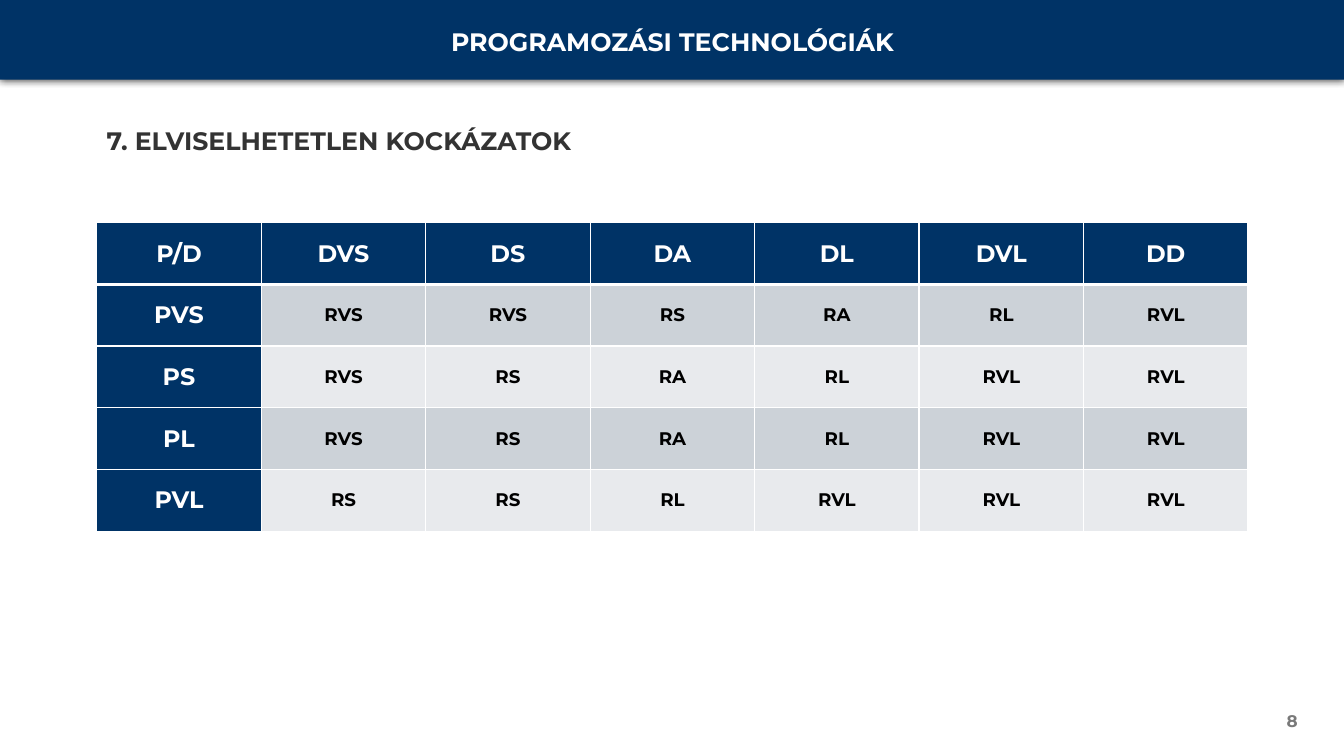
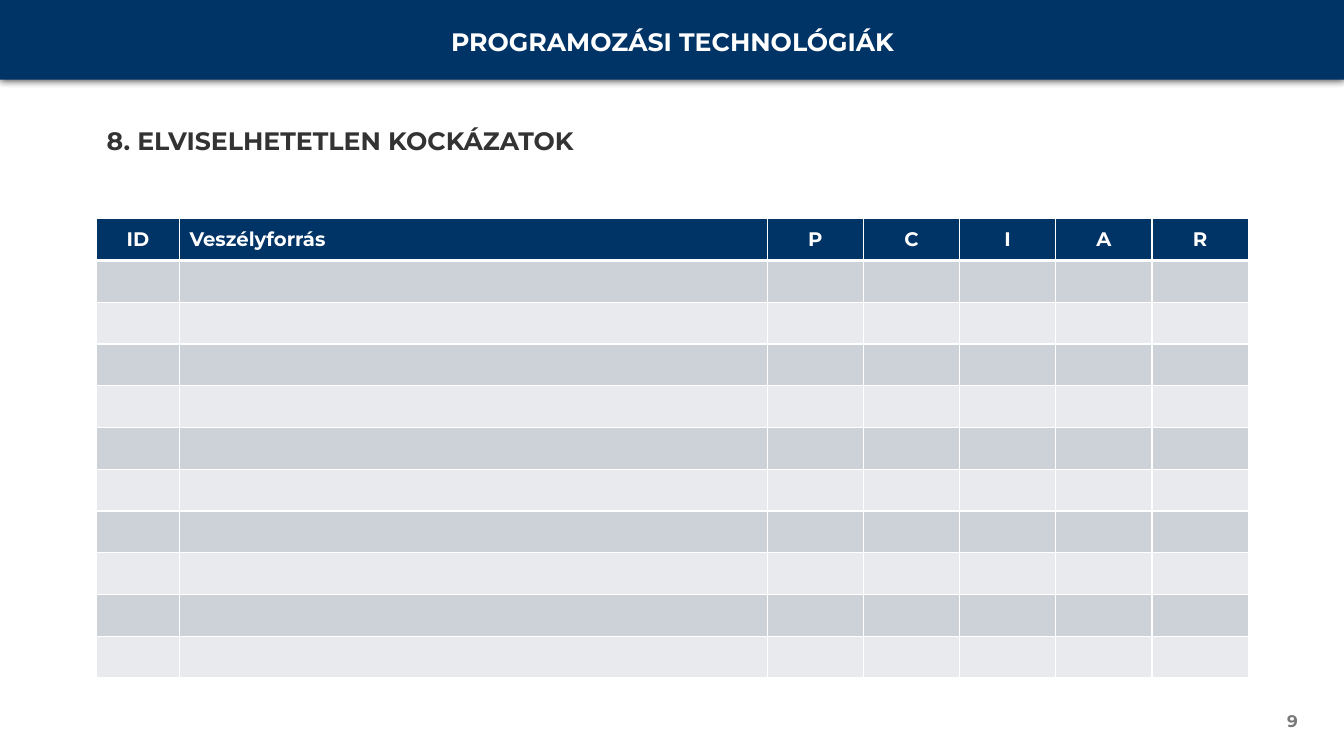
"""Builds two risk assessment slides with a shared band, heading and page number."""
from dataclasses import dataclass

from pptx import Presentation
from pptx.dml.color import RGBColor
from pptx.enum import shapes, text
from pptx.oxml import ns, xmlchemy
from pptx.util import Inches, Pt

NAVY, WHITE, BLACK = "003366", "FFFFFF", "000000"
DARK, GREY = "333333", "797979"
BANDS = ("CCD2D8", "E8EAED")
FACE = "Montserrat"
LEFT, WIDTH = 0.96, 11.42
ALIGN = text.PP_ALIGN


@dataclass
class Grid:
    top: float
    height: float
    cols: list[float]
    rows: list[list[str]]
    head: float
    body: float
    side: bool = False
    lefts: tuple[int, ...] = ()


@dataclass
class Page:
    title: str
    number: int
    grid: Grid


@dataclass
class Label:
    words: str
    left: float
    top: float
    width: float
    size: float
    color: str
    align: ALIGN = ALIGN.LEFT
    middle: bool = False


def paint(fill, color: str) -> None:
    fill.solid()
    fill.fore_color.rgb = RGBColor.from_string(color)


def style(para, size: float, color: str, align: ALIGN) -> None:
    para.alignment = align
    font = para.font
    font.name, font.size, font.bold = FACE, Pt(size), True
    font.color.rgb = RGBColor.from_string(color)


def node(parent, tag: str, **attrs):
    child = xmlchemy.OxmlElement(tag)
    for key, value in attrs.items():
        child.set(key, str(value))
    parent.append(child)
    return child


def add_band(slide) -> None:
    band = slide.shapes.add_shape(
        shapes.MSO_SHAPE.RECTANGLE, 0, 0, Inches(13.33), Inches(0.79))
    paint(band.fill, NAVY)
    band.line.fill.background()
    band.shadow.inherit = False
    effects = band._element.spPr.find(ns.qn("a:effectLst"))
    shade = node(effects, "a:outerShdw", blurRad=Pt(6), dist=0,
                 dir=90 * 60000, rotWithShape=0)
    color = node(shade, "a:srgbClr", val=BLACK)
    node(color, "a:alpha", val=80000)


def add_label(slide, label: Label) -> None:
    box = slide.shapes.add_textbox(
        Inches(label.left), Inches(label.top), Inches(label.width), Inches(0.4))
    frame = box.text_frame
    frame.word_wrap = True
    if label.middle:
        frame.vertical_anchor = text.MSO_ANCHOR.MIDDLE
    else:
        frame.auto_size = text.MSO_AUTO_SIZE.SHAPE_TO_FIT_TEXT
    frame.text = label.words
    style(frame.paragraphs[0], label.size, label.color, label.align)


def add_rules(cell, row: int) -> None:
    sides = {"L": 1, "R": 1, "T": 3 if row == 1 else 1, "B": 3 if row == 0 else 1}
    props = cell._tc.get_or_add_tcPr()
    for side, width in sides.items():
        line = node(props, f"a:ln{side}", w=Pt(width))
        node(node(line, "a:solidFill"), "a:srgbClr", val=WHITE)


def add_grid(slide, grid: Grid) -> None:
    count = len(grid.rows)
    table = slide.shapes.add_table(
        count, len(grid.cols), Inches(LEFT), Inches(grid.top),
        Inches(WIDTH), Inches(grid.height)).table
    table.first_row = table.horz_banding = False
    for col, width in zip(table.columns, grid.cols):
        col.width = Inches(width)
    for r, words in enumerate(grid.rows):
        table.rows[r].height = Inches(grid.height / count)
        for c, word in enumerate(words):
            cell = table.cell(r, c)
            head = r == 0 or (grid.side and c == 0)
            add_rules(cell, r)
            paint(cell.fill, NAVY if head else BANDS[(r - 1) % 2])
            cell.vertical_anchor = text.MSO_ANCHOR.MIDDLE
            cell.text = word
            style(cell.text_frame.paragraphs[0],
                  grid.head if head else grid.body,
                  WHITE if head else BLACK,
                  ALIGN.LEFT if c in grid.lefts else ALIGN.CENTER)


def add_page(deck, page: Page) -> None:
    slide = deck.slides.add_slide(deck.slide_layouts[6])
    add_band(slide)
    for label in (
        Label("PROGRAMOZÁSI TECHNOLÓGIÁK", 4.06, 0.21, 5.22, 18, WHITE, ALIGN.CENTER),
        Label(page.title, LEFT, 1.19, 8.32, 18, DARK),
        Label(str(page.number), 9.97, 6.95, 3, 12, GREY, ALIGN.RIGHT, True),
    ):
        add_label(slide, label)
    add_grid(slide, page.grid)


RISKS = [line.split() for line in (
    "P/D DVS DS DA DL DVL DD",
    "PVS RVS RVS RS RA RL RVL",
    "PS RVS RS RA RL RVL RVL",
    "PL RVS RS RA RL RVL RVL",
    "PVL RS RS RL RVL RVL RVL",
)]
HAZARDS = [["ID", "Veszélyforrás", *"PCIAR"]] + [[""] * 7] * 10
ID, NAME = 0.82, 5.83
PAGES = (
    Page("7. ELVISELHETETLEN KOCKÁZATOK", 8,
         Grid(2.21, 3.06, [WIDTH / 7] * 7, RISKS, 17, 13, side=True)),
    Page("8. ELVISELHETETLEN KOCKÁZATOK", 9,
         Grid(2.17, 4.56, [ID, NAME] + [(WIDTH - ID - NAME) / 5] * 5,
              HAZARDS, 14, 14, lefts=(1,))),
)


def main() -> None:
    deck = Presentation()
    deck.slide_width, deck.slide_height = Inches(13.33), Inches(7.5)
    for page in PAGES:
        add_page(deck, page)
    deck.save("out.pptx")


if __name__ == "__main__":
    main()
